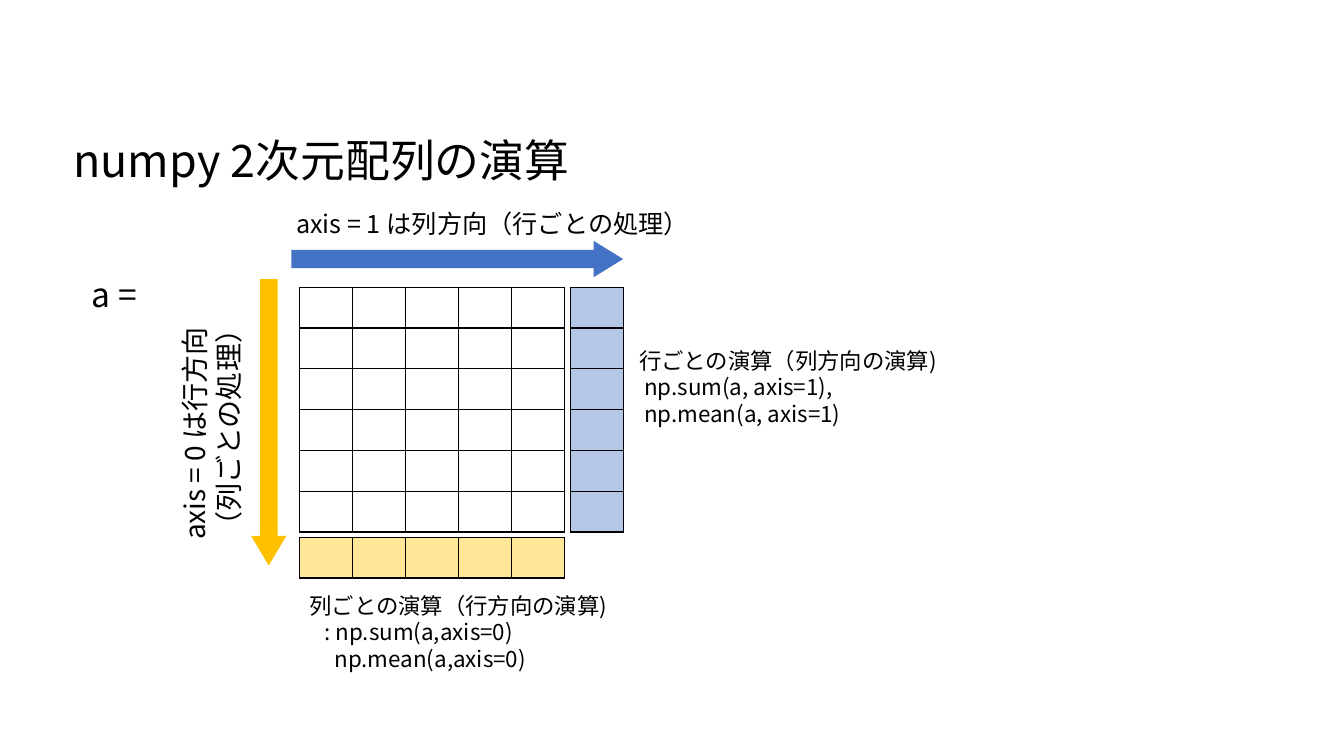
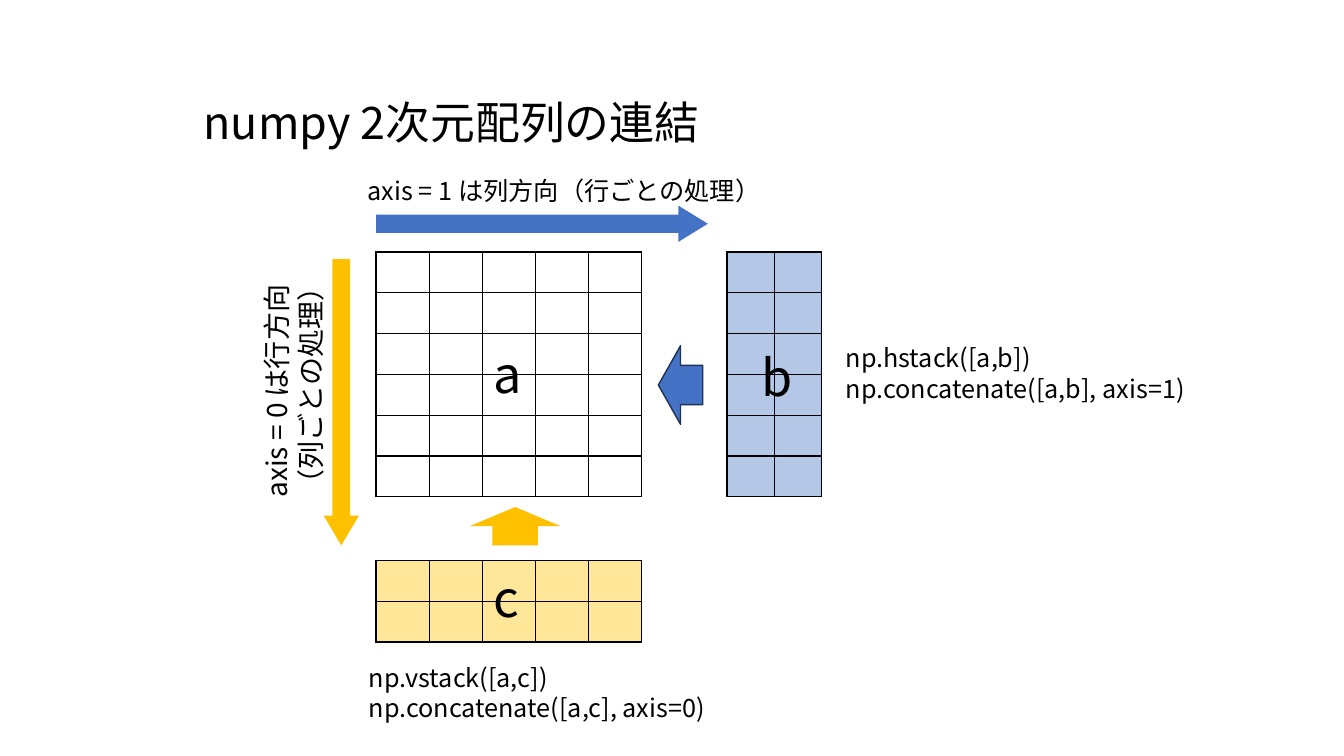
from dataclasses import dataclass

from lxml import etree
from pptx import Presentation
from pptx.dml.color import RGBColor as RGB
from pptx.enum.shapes import MSO_SHAPE as Shape
from pptx.enum.text import MSO_AUTO_SIZE as AutoSize
from pptx.oxml.ns import qn
from pptx.util import Inches as In, Pt


@dataclass(frozen=True)
class Theme:
    font: str = "Noto Sans CJK JP"
    ink: str = "000000"
    blue: str = "4472C4"
    blue_edge: str = "1E3256"
    pale_blue: str = "B4C7E7"
    gold: str = "FFC000"
    pale_gold: str = "FFE699"
    title: int = 32
    name: int = 36
    equals: int = 24
    axis0: int = 20
    axis1: int = 18
    code: int = 18
    note: int = 16


T = Theme()
CELL_W, CELL_H = 2.63 / 5, 2.43 / 6
ROWS, COLS = 6, 5
AXIS0 = ["axis = 0 は行方向", "（列ごとの処理）"]
AXIS1 = ["axis = 1 は列方向（行ごとの処理）"]

# Content: grids are (left, top, columns, rows, column width, fill);
# texts are (left, top, width, height, size, lines), a line may be (text, indent)
SLIDES = [
    dict(
        title=("numpy 2次元配列の演算", 0.63, 1.27),
        axis0=((0.83, 3.8), (2.49, 2.77)),
        axis1=((2.84, 2.02), (2.89, 2.39)),
        grids=[
            (2.97, 2.85, COLS, ROWS, CELL_W, None),
            (5.66, 2.85, 1, ROWS, CELL_W, T.pale_blue),
            (2.97, 5.33, COLS, 1, CELL_W, T.pale_gold),
        ],
        arrows=[],
        texts=[
            (2.97, 5.82, 4.08, 0.91, T.note,
             ["列ごとの演算（行方向の演算)", (": np.sum(a,axis=0)", 0.15),
              ("np.mean(a,axis=0)", 0.25)]),
            (6.24, 3.39, 3.22, 0.91, T.note,
             ["行ごとの演算（列方向の演算)", ("np.sum(a, axis=1),", 0.05),
              ("np.mean(a, axis=1)", 0.05)]),
            (0.81, 2.67, 0.89, 0.5, T.equals, ["a ="]),
        ],
    ),
    dict(
        title=("numpy 2次元配列の連結", 1.92, 0.89),
        axis0=((1.64, 3.38), (3.21, 2.57)),
        axis1=((3.55, 1.69), (3.73, 2.04)),
        grids=[
            (3.73, 2.5, COLS, ROWS, CELL_W, None),
            (3.73, 5.56, COLS, 2, CELL_W, T.pale_gold),
            (7.21, 2.5, 2, ROWS, 0.47, T.pale_blue),
        ],
        arrows=[
            (Shape.UP_ARROW, (4.66, 5.03, 0.9, 0.38), T.gold, None),
            (Shape.LEFT_ARROW, (6.53, 3.43, 0.44, 0.78), T.blue, T.blue_edge),
        ],
        texts=[
            (8.29, 3.35, 3.94, 0.71, T.code,
             ["np.hstack([a,b])", "np.concatenate([a,b], axis=1)"]),
            (3.56, 6.52, 3.91, 0.71, T.code,
             ["np.vstack([a,c])", "np.concatenate([a,c], axis=0)"]),
            (4.8, 3.35, 0.49, 0.71, T.name, ["a"]),
            (4.8, 5.58, 0.46, 0.71, T.name, ["c"]),
            (7.45, 3.38, 0.51, 0.71, T.name, ["b"]),
        ],
    ),
]


def add_text(s, x, y, w, h, size, lines, rotation=0):
    box = s.shapes.add_textbox(In(x), In(y), In(w), In(h))
    box.rotation = rotation
    tf = box.text_frame
    tf.word_wrap = False
    tf.auto_size = AutoSize.SHAPE_TO_FIT_TEXT
    for i, line in enumerate(lines):
        text, indent = (line, 0) if isinstance(line, str) else line
        p = tf.paragraphs[0] if i == 0 else tf.add_paragraph()
        if indent:
            p._p.get_or_add_pPr().set("marL", str(In(indent)))
        r = p.add_run()
        r.text = text
        r.font.size = Pt(size)
        r.font.name = T.font
        r.font.color.rgb = RGB.from_string(T.ink)
        etree.SubElement(r._r.get_or_add_rPr(), qn("a:ea"), typeface=T.font)


def add_arrow(s, kind, box, fill, edge=None, adjust=()):
    sp = s.shapes.add_shape(kind, *map(In, box))
    sp.shadow.inherit = False
    for i, value in enumerate(adjust):
        sp.adjustments[i] = value
    sp.fill.solid()
    sp.fill.fore_color.rgb = RGB.from_string(fill)
    if edge:
        sp.line.color.rgb = RGB.from_string(edge)
        sp.line.width = Pt(1)
    else:
        sp.line.fill.background()


def style_cell(cell, fill):
    cell.margin_left = cell.margin_right = cell.margin_top = cell.margin_bottom = 0
    tc_pr = cell._tc.get_or_add_tcPr()
    # Borders come before the fill in the cell properties
    for side in ("lnL", "lnR", "lnT", "lnB"):
        ln = etree.SubElement(tc_pr, qn(f"a:{side}"), w=str(Pt(1)))
        solid = etree.SubElement(ln, qn("a:solidFill"))
        etree.SubElement(solid, qn("a:srgbClr"), val=T.ink)
    if fill:
        cell.fill.solid()
        cell.fill.fore_color.rgb = RGB.from_string(fill)
    else:
        cell.fill.background()


def add_grid(s, x, y, cols, rows, col_w, fill):
    frame = s.shapes.add_table(rows, cols, In(x), In(y),
                               In(cols * col_w), In(rows * CELL_H))
    table = frame.table
    table.first_row = table.horz_banding = False
    for col in table.columns:
        col.width = In(col_w)
    for row in table.rows:
        row.height = In(CELL_H)
    for cell in table.iter_cells():
        style_cell(cell, fill)


def add_axes(s, axis0, axis1):
    (label0, arrow0), (label1, arrow1) = axis0, axis1
    add_text(s, *label0, 2.54, 0.77, T.axis0, AXIS0, rotation=270)
    add_text(s, *label1, 4.33, 0.4, T.axis1, AXIS1)
    add_arrow(s, Shape.DOWN_ARROW, (*arrow0, 0.35, 2.84), T.gold, adjust=(0.5, 0.84))
    add_arrow(s, Shape.RIGHT_ARROW, (*arrow1, 3.29, 0.36), T.blue, adjust=(0.5, 0.81))


def main():
    prs = Presentation()
    prs.slide_width, prs.slide_height = In(13.33), In(7.5)
    for content in SLIDES:
        s = prs.slides.add_slide(prs.slide_layouts[6])
        title, x, y = content["title"]
        add_text(s, x, y, 5.29, 0.64, T.title, [title])
        add_axes(s, content["axis0"], content["axis1"])
        for grid in content["grids"]:
            add_grid(s, *grid)
        for arrow in content["arrows"]:
            add_arrow(s, *arrow)
        for text in content["texts"]:
            add_text(s, *text)
    prs.save("out.pptx")


if __name__ == "__main__":
    main()
